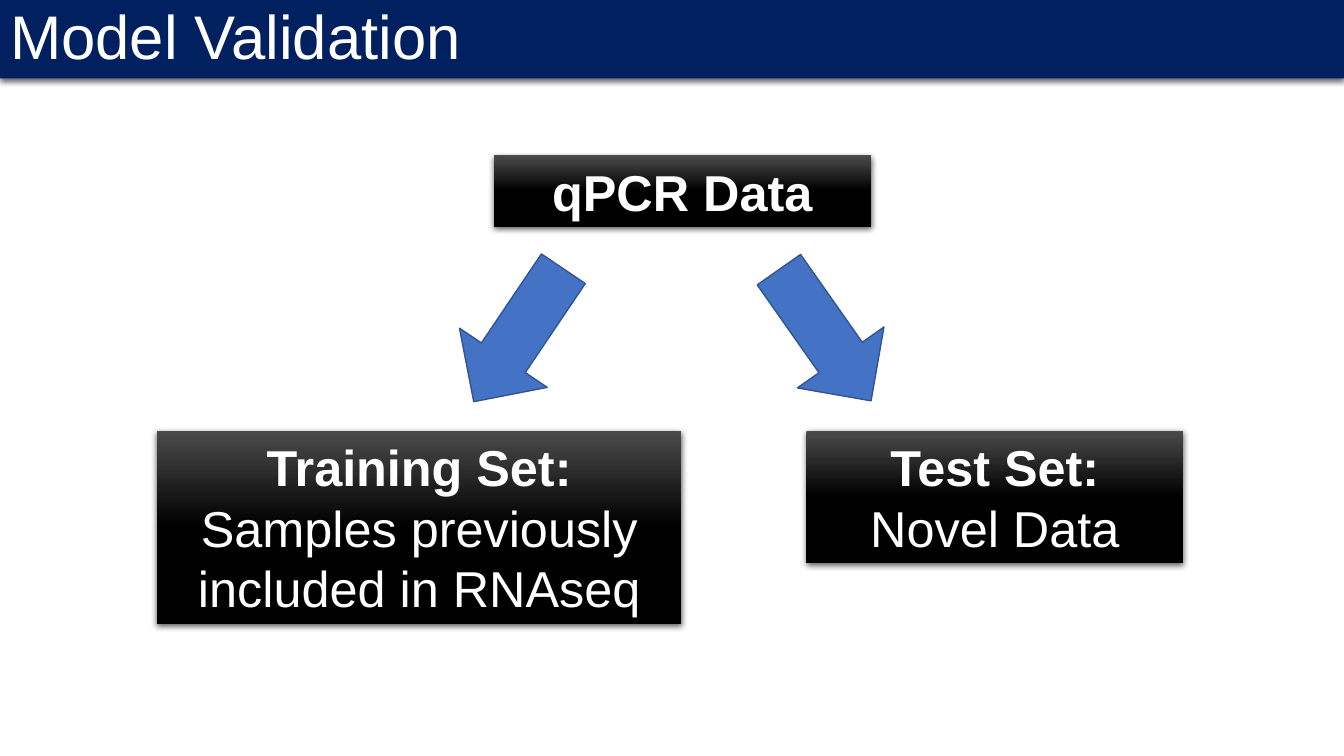
from copy import deepcopy
from dataclasses import dataclass

from lxml.etree import SubElement as Sub
from pptx import Presentation
from pptx.dml.color import RGBColor as RGB
from pptx.enum.shapes import MSO_SHAPE as Kind
from pptx.enum.text import MSO_ANCHOR as Anchor, MSO_AUTO_SIZE as Fit, PP_ALIGN as Align
from pptx.oxml.ns import qn
from pptx.util import Pt


@dataclass(frozen=True)
class Theme:
    font: str = "Arial"
    head: int = 44
    body: int = 36
    text: RGB = RGB(255, 255, 255)
    bar: RGB = RGB(0, 32, 96)
    top: RGB = RGB(75, 75, 75)
    base: RGB = RGB(0, 0, 0)
    arrow: RGB = RGB(68, 114, 196)
    edge: RGB = RGB(50, 84, 145)


class Deck:
    def __init__(self, theme):
        self.theme = theme
        self.file = Presentation()
        self.file.slide_width, self.file.slide_height = Pt(960), Pt(540)
        self.slide = self.file.slides.add_slide(self.file.slide_layouts[5])

    def shape(self, kind, *area):
        return self.slide.shapes.add_shape(kind, *map(Pt, area))

    def label(self, shape, lines, size, align, fit):
        frame = shape.text_frame
        frame.text = "\n".join(lines)
        frame.word_wrap, frame.auto_size = True, fit
        frame.vertical_anchor = Anchor.MIDDLE
        for part in frame.paragraphs:
            part.alignment = align
            font = part.runs[0].font
            font.name, font.size, font.bold = self.theme.font, Pt(size), False
            font.color.rgb = self.theme.text
        return frame.paragraphs[0]

    def shade(self, shape):
        shape.shadow.inherit = False
        effect = shape.element.spPr.find(qn("a:effectLst"))
        outer = Sub(effect, qn("a:outerShdw"), blurRad=str(Pt(4.5)),
                    dist=str(Pt(1.5)), dir="5400000", algn="t", rotWithShape="0")
        color = Sub(outer, qn("a:srgbClr"), val="000000")
        Sub(color, qn("a:alpha"), val="63000")

    def title(self, text, high):
        bar = self.slide.shapes.title
        bar.left, bar.top, bar.width, bar.height = map(Pt, (0, 0, 960, high))
        bar.fill.solid()
        bar.fill.fore_color.rgb = self.theme.bar
        self.shade(bar)
        line = self.label(bar, [text], self.theme.head, Align.LEFT, Fit.NONE)
        line.line_spacing = 0.9

    def box(self, lines, *area):
        box = self.shape(Kind.RECTANGLE, *area)
        box.line.fill.background()
        # Grey fades to black at the middle and stays black
        box.fill.gradient()
        box.fill.gradient_angle = 270
        stops = box.fill.gradient_stops
        for stop, place, color in zip(stops, (0, 0.5), (self.theme.top, self.theme.base)):
            stop.position, stop.color.rgb = place, color
        fade = box.element.spPr.find(".//" + qn("a:gsLst"))
        end = deepcopy(fade[-1])
        end.set("pos", "100000")
        fade.append(end)
        self.shade(box)
        first = self.label(box, lines, self.theme.body, Align.CENTER, Fit.SHAPE_TO_FIT_TEXT)
        first.runs[0].font.bold = True

    def arrow(self, left, top, turn):
        arrow = self.shape(Kind.DOWN_ARROW, left, top, 75.6, 114.5)
        arrow.rotation = turn
        arrow.shadow.inherit = False
        arrow.fill.solid()
        arrow.fill.fore_color.rgb = self.theme.arrow
        arrow.line.color.rgb = self.theme.edge
        arrow.line.width = Pt(1)


deck = Deck(Theme())
deck.title("Model Validation", 56)

# Source data
deck.box(["qPCR Data"], 352.8, 110.9, 269.3, 51)

# Split into two sets
for left, turn in ((332.6, 34), (551.5, 324.9)):
    deck.arrow(left, 182.2, turn)

# Resulting sets
row = 307.6
deck.box(["Training Set:", "Samples previously included in RNAseq"], 112.3, row, 374.4, 138)
deck.box(["Test Set:", "Novel Data"], 576, row, 269.3, 94.5)

deck.file.save("out.pptx")
